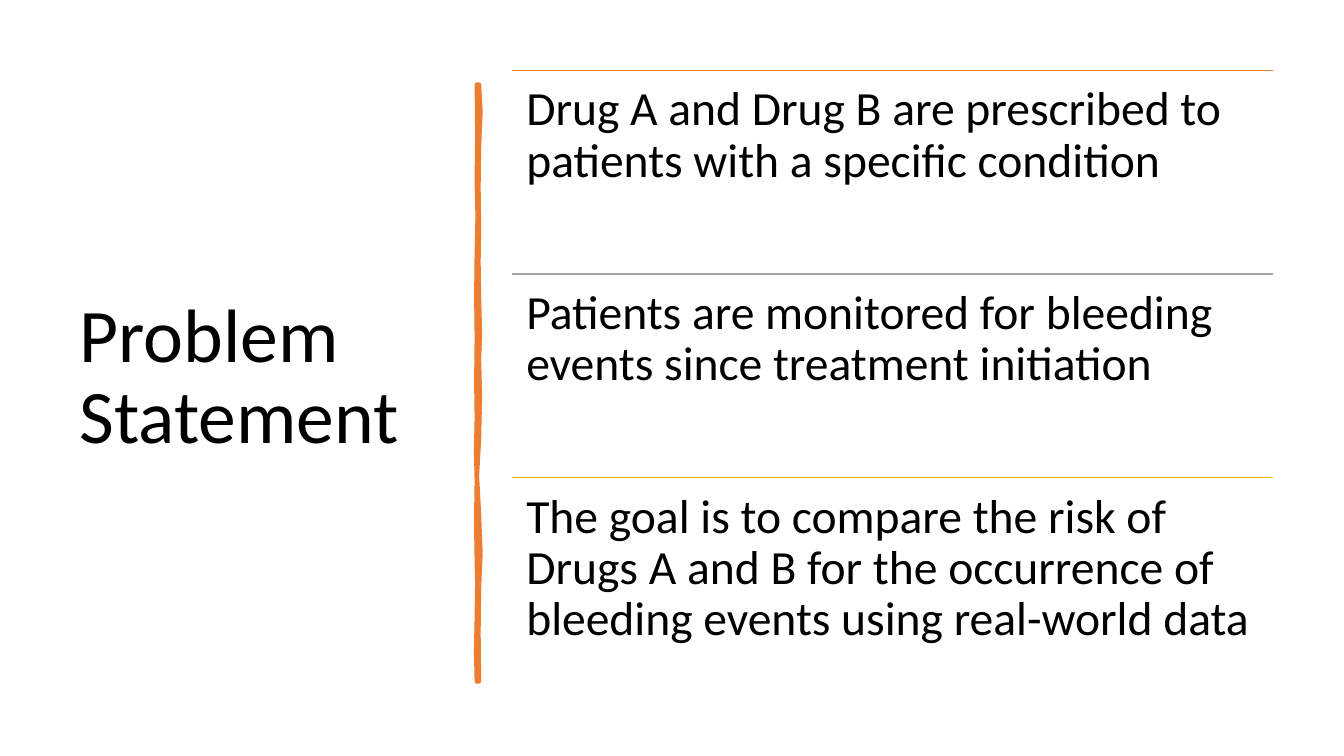
from lxml import etree
from pptx import Presentation
from pptx.dml.color import RGBColor
from pptx.enum import shapes, text
from pptx.oxml import ns
from pptx.util import Inches, Pt

BLACK = RGBColor(0x00, 0x00, 0x00)
ORANGE = RGBColor(0xED, 0x7D, 0x31)
GRAY = RGBColor(0xA5, 0xA5, 0xA5)
GOLD = RGBColor(0xFF, 0xC0, 0x00)

STATEMENTS = [
    ("Drug A and Drug B are prescribed to patients with a specific condition", ORANGE),
    ("Patients are monitored for bleeding events since treatment initiation", GRAY),
    ("The goal is to compare the risk of Drugs A and B for the occurrence of "
     "bleeding events using real-world data", GOLD),
]
LEFT, TOP, WIDTH, ROW_HEIGHT = 5.08, 0.7, 7.55, 2.02

BRUSH_RIGHT = [
    (4750, 840), (4765, 1110), (4750, 1460), (4745, 1850), (4750, 2260),
    (4745, 2600), (4750, 2940), (4760, 3320), (4750, 3560), (4760, 3930),
    (4750, 4360), (4730, 4720), (4750, 5100), (4765, 5490), (4750, 5840),
    (4745, 6270), (4750, 6760),
]
BRUSH_LEFT = [
    (4730, 6760), (4723, 6450), (4730, 6130), (4735, 5790), (4730, 5570),
    (4724, 5170), (4730, 4770), (4723, 4460), (4730, 4150), (4725, 3780),
    (4730, 3350), (4725, 2930), (4730, 2500), (4738, 2150), (4730, 1810),
    (4735, 1330), (4730, 840),
]


def format_text(shape, size):
    frame = shape.text_frame
    frame.word_wrap = True
    frame.auto_size = text.MSO_AUTO_SIZE.NONE
    para = frame.paragraphs[0]
    para.alignment = text.PP_ALIGN.LEFT
    para.line_spacing = 0.9
    para.font.name = "Calibri"
    para.font.size = Pt(size)
    para.font.color.rgb = BLACK
    return frame


deck = Presentation()
deck.slide_width = Inches(13.33)
deck.slide_height = Inches(7.5)
page = deck.slides.add_slide(deck.slide_layouts[5])

title = page.shapes.title
title.left, title.top = Inches(0.69), Inches(0.7)
title.width, title.height = Inches(3.74), Inches(6.11)
title.text = "Problem Statement"
format_text(title, 54).vertical_anchor = text.MSO_ANCHOR.MIDDLE

outline = BRUSH_RIGHT + BRUSH_LEFT
builder = page.shapes.build_freeform(*outline[0], scale=Inches(1) / 1000)
builder.add_line_segments(outline[1:], close=True)
brush = builder.convert_to_shape()
brush.shadow.inherit = False
brush.fill.solid()
brush.fill.fore_color.rgb = ORANGE
brush.line.color.rgb = ORANGE
brush.line.width = Pt(3.25)

for row, (statement, color) in enumerate(STATEMENTS):
    top = Inches(TOP + row * ROW_HEIGHT)
    rule = page.shapes.add_connector(
        shapes.MSO_CONNECTOR.STRAIGHT, Inches(LEFT), top, Inches(LEFT + WIDTH), top)
    rule.line.color.rgb = color
    rule.line.width = Pt(1)
    etree.SubElement(rule._element.spPr, ns.qn("a:effectLst"))

    box = page.shapes.add_textbox(Inches(LEFT), top, Inches(WIDTH), Inches(ROW_HEIGHT))
    box.text_frame.text = statement
    frame = format_text(box, 34)
    frame.margin_left = frame.margin_right = Inches(0.14)
    frame.margin_top = frame.margin_bottom = Inches(0.14)

deck.save("out.pptx")
